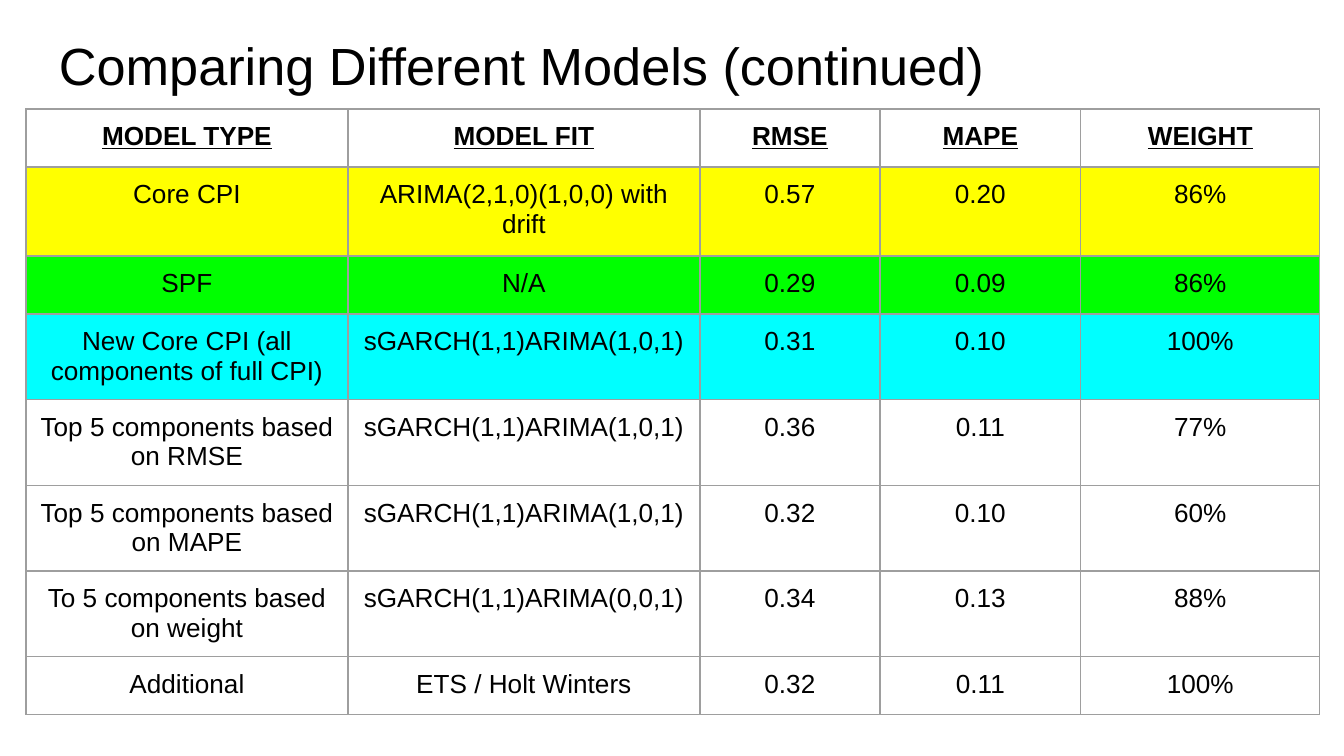
from lxml import etree
from pptx import Presentation
from pptx.dml.color import RGBColor
from pptx.enum.text import MSO_ANCHOR, PP_ALIGN
from pptx.oxml.ns import qn
from pptx.util import Pt

PX = 914400 / 134.4
CENTER = PP_ALIGN.CENTER
LEFT = PP_ALIGN.LEFT
BOTTOM = MSO_ANCHOR.BOTTOM
TOP = MSO_ANCHOR.TOP
FONT = "Arial"
COLORS = {
    "text": "000000",
    "border": "9E9E9E",
    "yellow": "FFFF00",
    "green": "00FF00",
    "cyan": "00FFFF",
}
COLUMN_WIDTHS = [322, 352, 180, 201, 239]
ROW_HEIGHTS = [58, 89, 58, 58, 58, 58, 58, 58]
ROW_FILLS = {1: "yellow", 2: "green", 3: "cyan"}
ROWS = [
    ["MODEL TYPE", "MODEL FIT", "RMSE", "MAPE", "WEIGHT"],
    ["Core CPI", "ARIMA(2,1,0)(1,0,0) with drift", "0.57", "0.20", "86%"],
    ["SPF", "N/A", "0.29", "0.09", "86%"],
    ["New Core CPI (all components of full CPI)", "sGARCH(1,1)ARIMA(1,0,1)", "0.31", "0.10", "100%"],
    ["Top 5 components based on RMSE", "sGARCH(1,1)ARIMA(1,0,1)", "0.36", "0.11", "77%"],
    ["Top 5 components based on MAPE", "sGARCH(1,1)ARIMA(1,0,1)", "0.32", "0.10", "60%"],
    ["To 5 components based on weight", "sGARCH(1,1)ARIMA(0,0,1)", "0.34", "0.13", "88%"],
    ["Additional", "ETS / Holt Winters", "0.32", "0.11", "100%"],
]


def px(length):
    return round(length * PX)


def write(text_frame, text, size, alignment):
    text_frame.text = text
    paragraph = text_frame.paragraphs[0]
    paragraph.alignment = alignment
    paragraph.font.name = FONT
    paragraph.font.size = Pt(size)
    paragraph.font.color.rgb = RGBColor.from_string(COLORS["text"])
    return paragraph


presentation = Presentation()
presentation.slide_width = px(1344)
presentation.slide_height = px(756)
slide = presentation.slides.add_slide(presentation.slide_layouts[5])

title = slide.shapes.title
title.left, title.top, title.width, title.height = px(46), px(16), px(1252), px(93)
title_frame = title.text_frame
title_frame.margin_left = title_frame.margin_right = px(13)
title_frame.margin_top = title_frame.margin_bottom = px(13)
title_frame.vertical_anchor = BOTTOM
write(title_frame, "Comparing Different Models (continued)", 28, LEFT)

table = slide.shapes.add_table(
    len(ROWS), len(COLUMN_WIDTHS), px(26), px(109), px(sum(COLUMN_WIDTHS)), px(sum(ROW_HEIGHTS))
).table
table.first_row = False
table.horz_banding = False
for column, width in zip(table.columns, COLUMN_WIDTHS):
    column.width = px(width)
for row, height in zip(table.rows, ROW_HEIGHTS):
    row.height = px(height)

for row_index, values in enumerate(ROWS):
    for column_index, value in enumerate(values):
        cell = table.cell(row_index, column_index)
        cell.margin_left = cell.margin_right = px(13)
        cell.margin_top, cell.margin_bottom = px(13), px(14)
        cell.vertical_anchor = TOP
        paragraph = write(cell.text_frame, value, 14, CENTER)
        paragraph.font.bold = paragraph.font.underline = row_index == 0

        properties = cell._tc.get_or_add_tcPr()
        for side in ("a:lnL", "a:lnR", "a:lnT", "a:lnB"):
            line = etree.SubElement(properties, qn(side), w=str(Pt(0.75)))
            line_fill = etree.SubElement(line, qn("a:solidFill"))
            etree.SubElement(line_fill, qn("a:srgbClr"), val=COLORS["border"])

        if row_index in ROW_FILLS:
            cell.fill.solid()
            cell.fill.fore_color.rgb = RGBColor.from_string(COLORS[ROW_FILLS[row_index]])
        else:
            cell.fill.background()

presentation.save("out.pptx")
